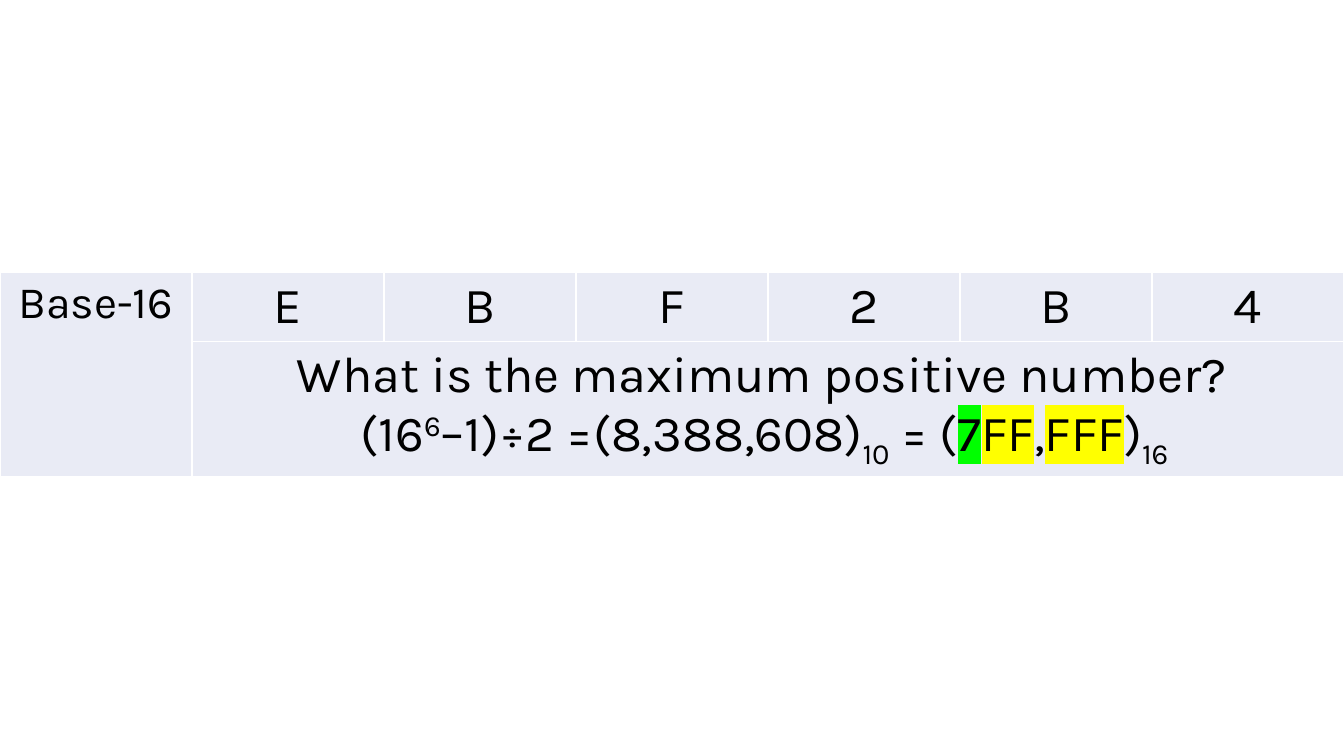
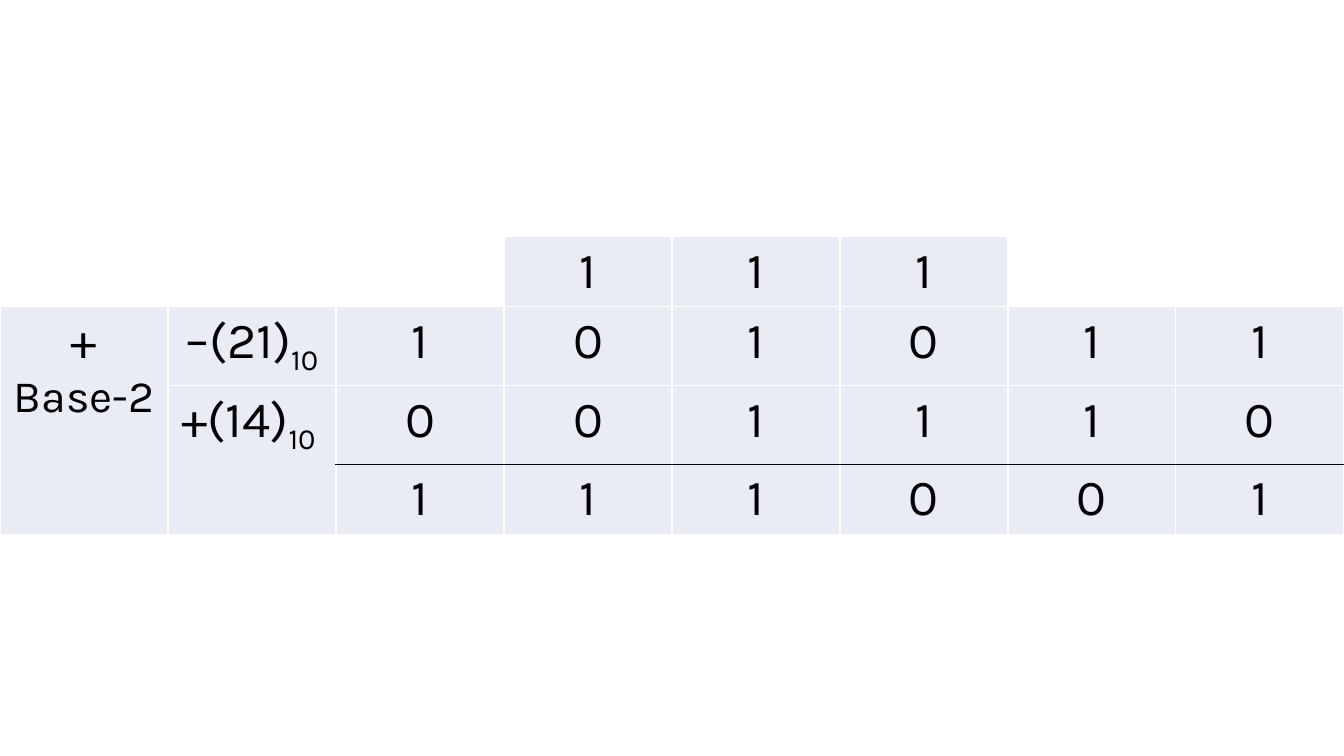
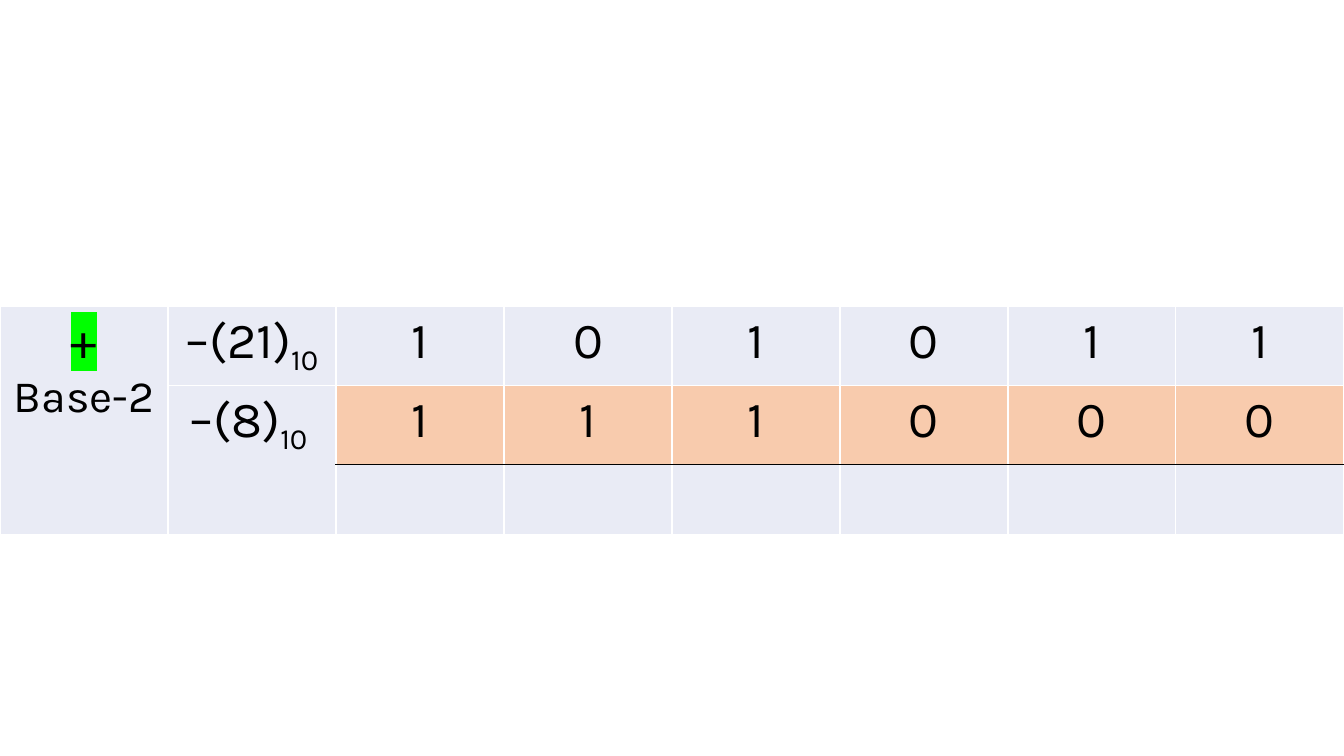
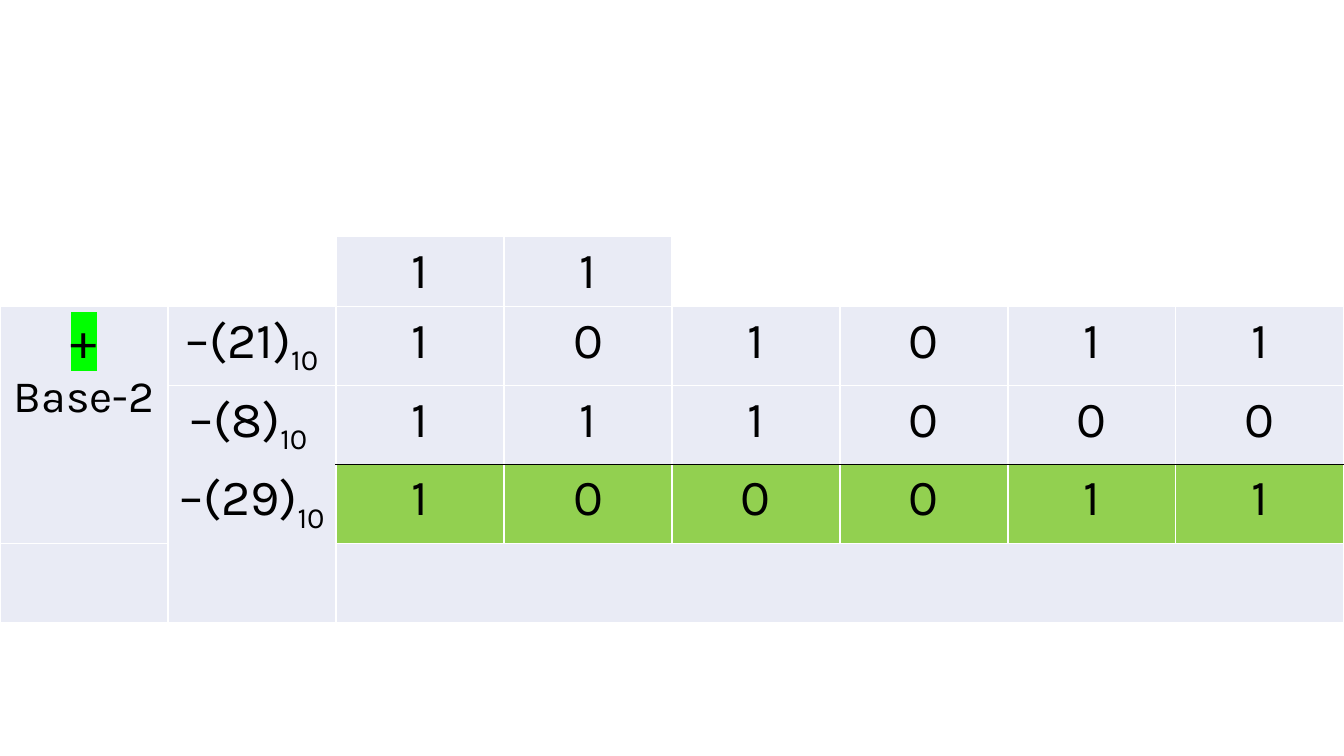
from lxml import etree
from pptx import Presentation
from pptx.dml.color import RGBColor
from pptx.enum.text import PP_ALIGN
from pptx.oxml.ns import qn
from pptx.util import Pt

CENTER = PP_ALIGN.CENTER
WIDTH, HEIGHT = 960, 540
FONT = "Karla"
COLORS = {
    "text": "000000",
    "cell": "E9EBF5",
    "border": "FFFFFF",
    "sum line": "000000",
    "addend": "F8CBAD",
    "result": "92D050",
    "green": "00FF00",
    "yellow": "FFFF00",
}
DIGIT_SIZE, LABEL_SIZE = 36, 32
LINE_ROW, SUBSCRIPT_ROW = 50, 56.4
SUBSCRIPT, SUPERSCRIPT = -25, 30
BASE_10 = ("10", {"baseline": SUBSCRIPT})
BASE_10_SPACED = ("10 ", {"baseline": SUBSCRIPT})


def add_color(parent, tag, color):
    element = etree.SubElement(parent, qn(tag))
    etree.SubElement(element, qn("a:srgbClr"), val=COLORS[color])


def write(paragraph, text, size=DIGIT_SIZE, baseline=0, highlight=None):
    run = paragraph.add_run()
    run.text = text
    run.font.size = Pt(size)
    run.font.color.rgb = RGBColor.from_string(COLORS["text"])
    properties = run.font._element
    if baseline:
        properties.set("baseline", str(baseline * 1000))
    if highlight:
        add_color(properties, "a:highlight", highlight)
    run.font.name = FONT


class Deck:
    def __init__(self):
        self.presentation = Presentation()
        self.presentation.slide_width = Pt(WIDTH)
        self.presentation.slide_height = Pt(HEIGHT)
        self.slide = None

    def new_slide(self):
        blank_layout = self.presentation.slide_layouts[6]
        self.slide = self.presentation.slides.add_slide(blank_layout)

    def table(self, top, row_heights, column_count):
        """Add a plain table over the full slide width, with equal columns."""
        table = self.slide.shapes.add_table(
            len(row_heights), column_count, 0, Pt(top), Pt(WIDTH), Pt(sum(row_heights))
        ).table
        table.first_row = table.horz_banding = False
        for row, height in zip(table.rows, row_heights):
            row.height = Pt(height)
        for column in table.columns:
            column.width = Pt(WIDTH / column_count)
        return table

    def cell(self, cell, paragraphs=(), fill="cell", top="border", bottom="border"):
        """Format a cell; each paragraph is a list of (text, format) runs."""
        properties = cell._tc.get_or_add_tcPr()
        borders = {"L": "border", "R": "border", "T": top, "B": bottom}
        for side, color in borders.items():
            line = etree.SubElement(properties, qn(f"a:ln{side}"), w=str(Pt(1)))
            if color:
                add_color(line, "a:solidFill", color)
            else:
                etree.SubElement(line, qn("a:noFill"))
        if fill:
            cell.fill.solid()
            cell.fill.fore_color.rgb = RGBColor.from_string(COLORS[fill])
        else:
            cell.fill.background()
        frame = cell.text_frame
        for index, runs in enumerate(paragraphs):
            paragraph = frame.add_paragraph() if index else frame.paragraphs[0]
            paragraph.alignment = CENTER
            for text, text_format in runs:
                write(paragraph, text, **text_format)

    def number_question(self, base, digits, paragraphs):
        table = self.table(194.4, [49.3, 96.3], len(digits) + 1)
        last = len(digits)
        table.cell(0, 0).merge(table.cell(1, 0))
        table.cell(1, 1).merge(table.cell(1, last))
        self.cell(table.cell(0, 0), [[(base, {"size": LABEL_SIZE})]])
        self.cell(table.cell(1, 0))
        for column, digit in enumerate(digits, start=1):
            self.cell(table.cell(0, column), [[(digit, {})]])
            self.cell(table.cell(1, column), paragraphs if column == 1 else ())

    def addition(self, carries, labels, numbers, fills=("cell",) * 3,
                 sign_highlight=None, extra_row=False):
        """Add a column addition; a space among the digits leaves a cell empty."""
        heights = [LINE_ROW, SUBSCRIPT_ROW, SUBSCRIPT_ROW]
        heights += [SUBSCRIPT_ROW] * 2 if extra_row else [LINE_ROW]
        table = self.table(169.2, heights, len(carries) + 2)
        last_row, last_column = len(heights) - 1, len(carries) + 1

        table.cell(1, 0).merge(table.cell(3, 0))
        operation = [[("+", {"highlight": sign_highlight})],
                     [("Base-2", {"size": LABEL_SIZE})]]
        for row in range(last_row + 1):
            self.cell(table.cell(row, 0), operation if row == 1 else (),
                      fill="cell" if row else None)

        self.cell(table.cell(0, 1), fill=None)
        for row in range(1, last_row + 1):
            runs = labels[row - 1] if row <= len(labels) else None
            self.cell(table.cell(row, 1), [runs] if runs else (),
                      top="border" if row < 3 else None,
                      bottom="border" if row in (1, last_row) else None)

        for column, carry in enumerate(carries, start=2):
            has_carry = carry != " "
            self.cell(table.cell(0, column), [[(carry, {})]] if has_carry else (),
                      fill="cell" if has_carry else None)
        for row, (digits, fill) in enumerate(zip(numbers, fills), start=1):
            for column, digit in enumerate(digits, start=2):
                self.cell(table.cell(row, column),
                          [[(digit, {})]] if digit != " " else (), fill=fill,
                          top="sum line" if row == 3 else "border",
                          bottom="sum line" if row == 2 else "border")

        if extra_row:
            table.cell(last_row, 2).merge(table.cell(last_row, last_column))
            for column in range(2, last_column + 1):
                self.cell(table.cell(last_row, column))


def main():
    deck = Deck()
    green, yellow = {"highlight": "green"}, {"highlight": "yellow"}
    minus_21 = [("–(21)", {}), BASE_10]
    minus_8 = [("–(8)", {}), BASE_10_SPACED]

    deck.new_slide()
    deck.number_question("Base-16", "EBF2B4", [
        [("What is the maximum positive number? ", {})],
        [("(16", {}), ("6", {"baseline": SUPERSCRIPT}), ("–1)÷2 =(8,388,608)", {}),
         BASE_10, (" = (", {}), ("7", green), ("FF", yellow), (",", {}),
         ("FFF", yellow), (")", {}), ("16 ", {"baseline": SUBSCRIPT})],
    ])

    deck.new_slide()
    deck.addition(" 111  ", [minus_21, [("+(14)", {}), BASE_10_SPACED]],
                  ["101011", "001110", "111001"])

    deck.new_slide()
    deck.addition(" " * 6, [minus_21, minus_8], ["101011", "111000", " " * 6],
                  fills=("cell", "addend", "cell"), sign_highlight="green")

    deck.new_slide()
    deck.addition("11    ", [minus_21, minus_8, [("–(29)", {}), BASE_10]],
                  ["101011", "111000", "100011"], fills=("cell", "cell", "result"),
                  sign_highlight="green", extra_row=True)

    deck.presentation.save("out.pptx")


if __name__ == "__main__":
    main()
